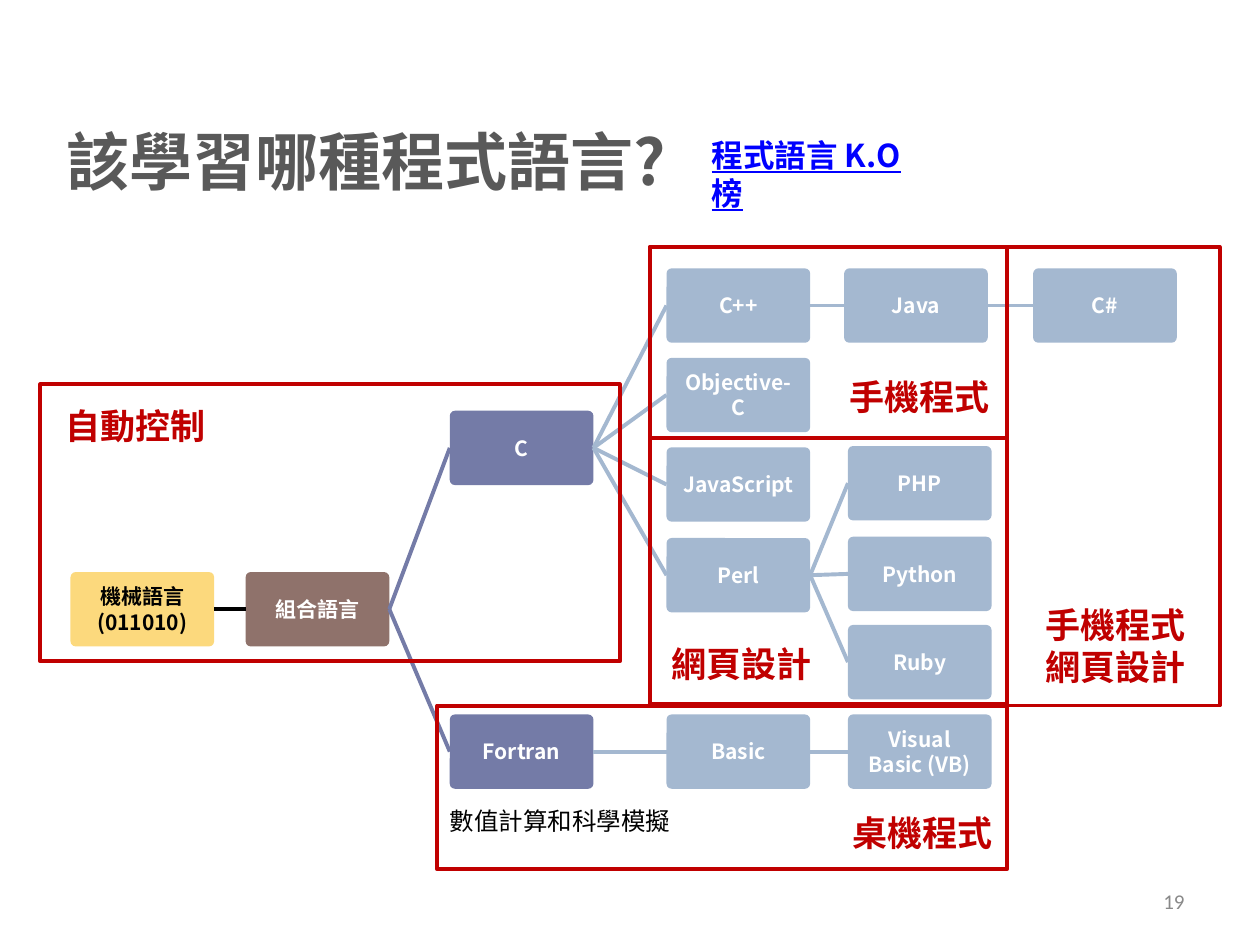
from dataclasses import dataclass
from lxml import etree
from pptx import Presentation
from pptx.dml.color import RGBColor
from pptx.enum.shapes import MSO_CONNECTOR as Connector, MSO_SHAPE as Preset
from pptx.enum.text import MSO_ANCHOR as Anchor, PP_ALIGN as Align
from pptx.oxml.ns import qn
from pptx.util import Inches, Pt


@dataclass(frozen=True)
class Theme:
    cjk: str = "Noto Sans CJK SC"
    latin: str = "Calibri"
    title: str = "595959"
    black: str = "000000"
    white: str = "FFFFFF"
    number: str = "898989"
    link: str = "0000FF"
    red: str = "C00000"
    yellow: str = "FCD97D"
    brown: str = "8F726B"
    purple: str = "747BA7"
    blue: str = "A4B8D0"
    title_size: int = 36
    label_size: int = 20
    link_size: int = 18
    note_size: int = 14
    node_size: int = 12
    line_width: float = 2.25


THEME = Theme()
NODE_WIDTH, NODE_HEIGHT = 1.14, 0.59

TITLE = "該學習哪種程式語言?"
LINK = "程式語言 K.O 榜"
NOTE = "數值計算和科學模擬"
PAGE_NUMBER = "19"

NODES = {
    "machine": (["機械語言", "(011010)"], 0.56, 4.54, THEME.yellow),
    "assembly": (["組合語言"], 1.95, 4.54, THEME.brown),
    "c": (["C"], 3.57, 3.26, THEME.purple),
    "fortran": (["Fortran"], 3.57, 5.67, THEME.purple),
    "cpp": (["C++"], 5.29, 2.13, THEME.blue),
    "objective_c": (["Objective-C"], 5.29, 2.84, THEME.blue),
    "javascript": (["JavaScript"], 5.29, 3.55, THEME.blue),
    "perl": (["Perl"], 5.29, 4.27, THEME.blue),
    "basic": (["Basic"], 5.29, 5.67, THEME.blue),
    "java": (["Java"], 6.7, 2.13, THEME.blue),
    "csharp": (["C#"], 8.2, 2.13, THEME.blue),
    "php": (["PHP"], 6.73, 3.54, THEME.blue),
    "python": (["Python"], 6.73, 4.26, THEME.blue),
    "ruby": (["Ruby"], 6.73, 4.96, THEME.blue),
    "vb": (["Visual", "Basic (VB)"], 6.73, 5.67, THEME.blue),
}

BRANCHES = [
    ("machine", ["assembly"], THEME.black),
    ("assembly", ["c", "fortran"], THEME.purple),
    ("c", ["cpp", "objective_c", "javascript", "perl"], THEME.blue),
    ("cpp", ["java"], THEME.blue),
    ("java", ["csharp"], THEME.blue),
    ("perl", ["php", "python", "ruby"], THEME.blue),
    ("fortran", ["basic"], THEME.blue),
    ("basic", ["vb"], THEME.blue),
]

FRAMES = [
    (0.32, 3.05, 4.6, 2.2),
    (3.47, 5.6, 4.52, 1.3),
    (5.16, 1.96, 4.52, 3.64),
    (5.16, 1.96, 2.83, 1.52),
    (5.16, 3.48, 2.83, 2.11),
]

LABELS = [
    (["自動控制"], 0.42, 3.16),
    (["網頁設計"], 5.23, 5.05),
    (["手機程式"], 6.64, 2.93),
    (["手機程式", "網頁設計"], 8.2, 4.74),
    (["桌機程式"], 6.67, 6.39),
]


def color(value):
    return RGBColor.from_string(value)


def write(shape, lines, size, ink, bold=False, font=THEME.cjk, align=Align.LEFT,
          anchor=Anchor.TOP, wrap=True, underline=False, spacing=None):
    frame = shape.text_frame
    frame.word_wrap = wrap
    frame.vertical_anchor = anchor
    for index, line in enumerate(lines):
        paragraph = frame.add_paragraph() if index else frame.paragraphs[0]
        paragraph.alignment = align
        if spacing:
            paragraph.line_spacing = spacing
        run = paragraph.add_run()
        run.text = line
        run.font.name = font
        run.font.size = Pt(size)
        run.font.bold = bold
        run.font.color.rgb = color(ink)
        if underline:
            run.font.underline = True
        east_asian = etree.SubElement(run.font._element, qn("a:ea"))
        east_asian.set("typeface", font)


def add_text(slide, box, lines, size, ink, **style):
    shape = slide.shapes.add_textbox(*map(Inches, box))
    write(shape, lines, size, ink, **style)


def add_node(slide, lines, left, top, fill):
    box = (left, top, NODE_WIDTH, NODE_HEIGHT)
    shape = slide.shapes.add_shape(Preset.ROUNDED_RECTANGLE, *map(Inches, box))
    shape.adjustments[0] = 0.07
    shape.shadow.inherit = False
    shape.fill.solid()
    shape.fill.fore_color.rgb = color(fill)
    shape.line.fill.background()
    ink = THEME.black if fill == THEME.yellow else THEME.white
    write(shape, lines, THEME.node_size, ink, bold=True, align=Align.CENTER, anchor=Anchor.MIDDLE)


def add_branch(slide, source, target, ink):
    _, left, top, _ = NODES[source]
    _, target_left, target_top, _ = NODES[target]
    middle = NODE_HEIGHT / 2
    ends = (left + NODE_WIDTH, top + middle, target_left, target_top + middle)
    connector = slide.shapes.add_connector(Connector.STRAIGHT, *map(Inches, ends))
    connector.line.color.rgb = color(ink)
    connector.line.width = Pt(THEME.line_width)
    etree.SubElement(connector._element.spPr, qn("a:effectLst"))


def add_frame(slide, box):
    shape = slide.shapes.add_shape(Preset.RECTANGLE, *map(Inches, box))
    shape.shadow.inherit = False
    shape.fill.background()
    shape.line.color.rgb = color(THEME.red)
    shape.line.width = Pt(THEME.line_width)


def main():
    """Build the slide that maps programming languages to their uses."""
    presentation = Presentation()
    presentation.slide_width, presentation.slide_height = Inches(10), Inches(7.5)
    slide = presentation.slides.add_slide(presentation.slide_layouts[6])

    add_text(slide, (0.43, 0.62, 9, 0.9), [TITLE], THEME.title_size, THEME.title,
             bold=True, spacing=1.5)
    add_text(slide, (7.17, 6.95, 2.33, 0.4), [PAGE_NUMBER], THEME.node_size, THEME.number,
             font=THEME.latin, align=Align.RIGHT, anchor=Anchor.MIDDLE)
    for node in NODES.values():
        add_node(slide, *node)
    for source, targets, ink in BRANCHES:
        for target in targets:
            add_branch(slide, source, target, ink)
    add_text(slide, (3.47, 6.35, 1.97, 0.34), [NOTE], THEME.note_size, THEME.black, wrap=False)
    for box in FRAMES:
        add_frame(slide, box)
    for lines, left, top in LABELS:
        height = 0.11 + 0.33 * len(lines)
        add_text(slide, (left, top, 1.32, height), lines, THEME.label_size, THEME.red,
                 bold=True, wrap=False)
    add_text(slide, (5.55, 1.03, 1.9, 0.4), [LINK], THEME.link_size, THEME.link,
             bold=True, underline=True)
    presentation.save("out.pptx")


if __name__ == "__main__":
    main()
